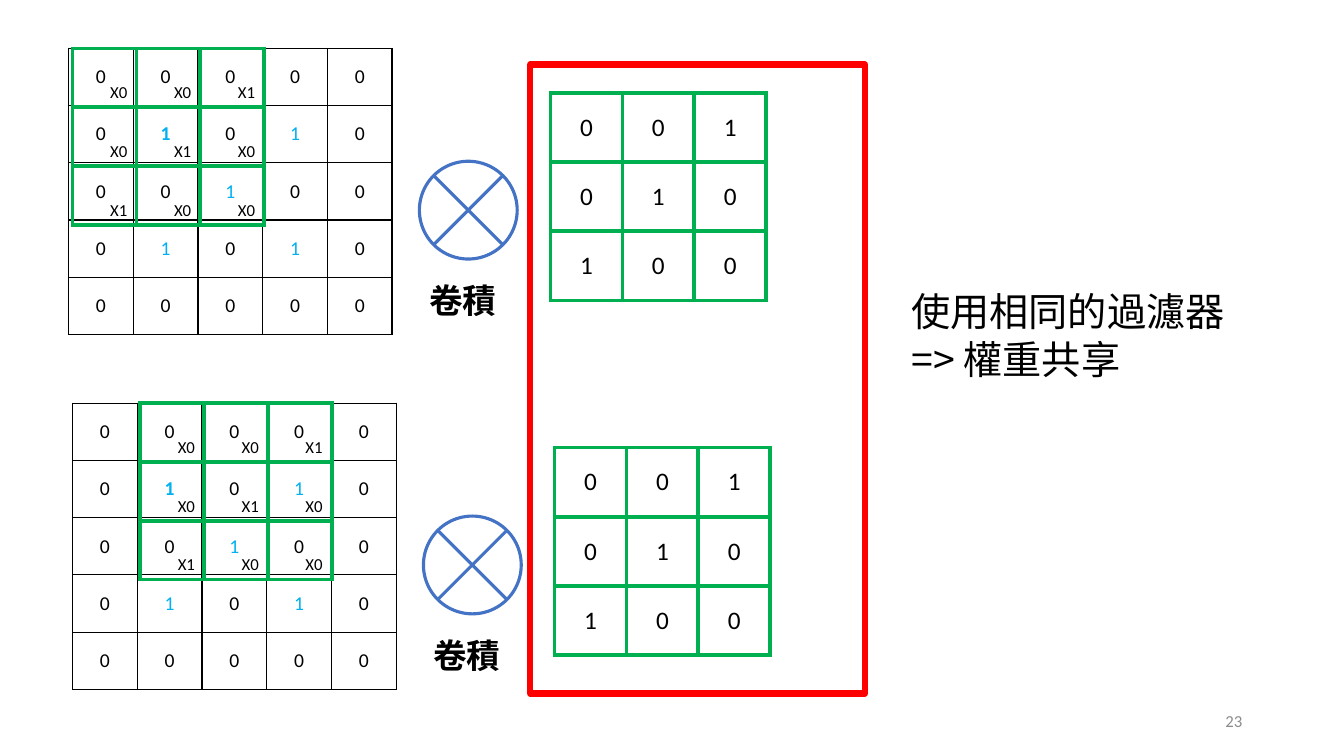
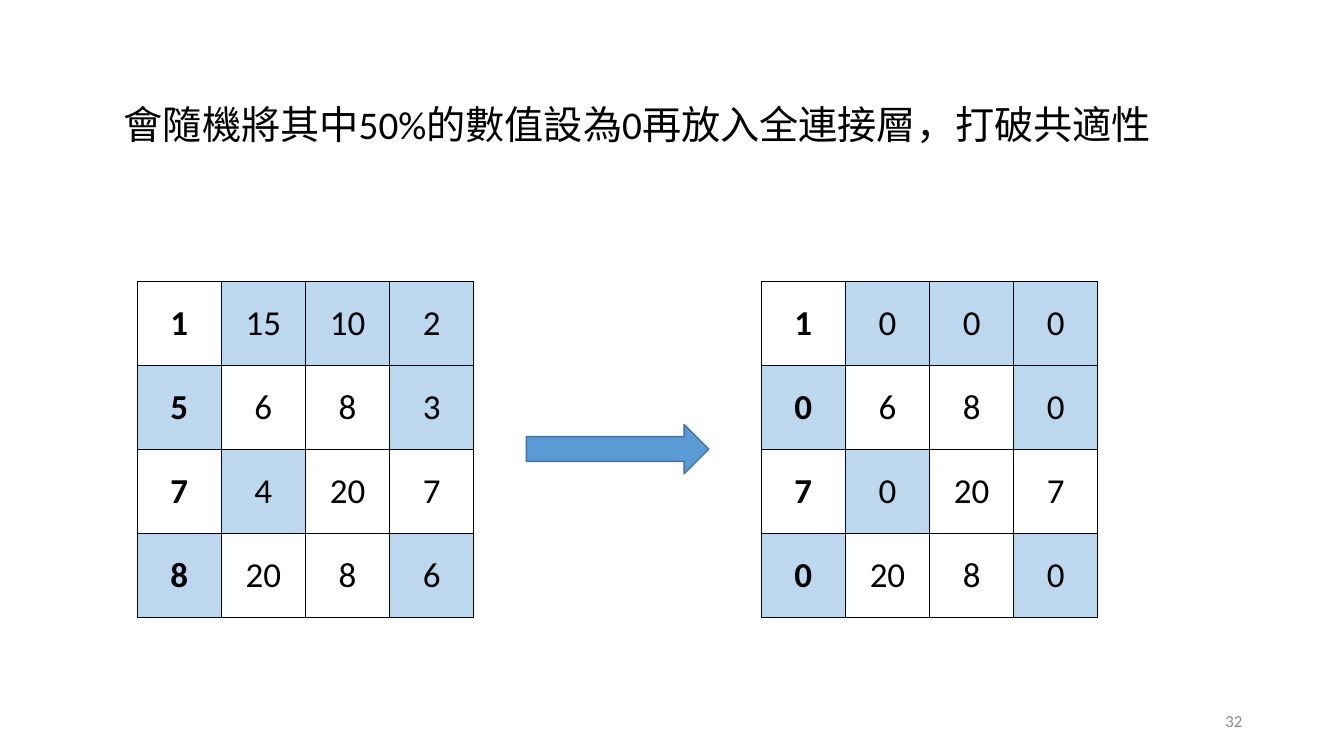
from lxml import etree
from pptx import Presentation
from pptx.dml.color import RGBColor
from pptx.enum.shapes import MSO_SHAPE
from pptx.enum.text import MSO_ANCHOR, PP_ALIGN
from pptx.oxml.ns import qn
from pptx.util import Emu, Pt

RECT = MSO_SHAPE.RECTANGLE
ARROW = MSO_SHAPE.RIGHT_ARROW
JUNCTION = MSO_SHAPE.FLOWCHART_SUMMING_JUNCTION
TOP, MIDDLE, BOTTOM = MSO_ANCHOR.TOP, MSO_ANCHOR.MIDDLE, MSO_ANCHOR.BOTTOM
LEFT, CENTER, RIGHT = PP_ALIGN.LEFT, PP_ALIGN.CENTER, PP_ALIGN.RIGHT

COLORS = {
    "text": "000000", "white": "FFFFFF", "number": "8C8C8C", "one": "00B0F0",
    "filter": "00B050", "frame": "FF0000", "junction": "4472C4",
    "dropped": "BDD7EE", "arrow": "5B9BD5", "arrow_edge": "43739E",
}
LATIN, CJK = "Calibri", "Noto Sans CJK SC"

# Table looks: text size, border, alignment and cell margins
IMAGE = dict(size=14, border="text", width=1, align=CENTER, anchor=MIDDLE, margins=(8, 4))
FILTER = dict(size=18, border="filter", width=3, align=CENTER, anchor=MIDDLE, margins=(10, 5))
WINDOW = dict(size=12, border="filter", width=3, align=RIGHT, anchor=BOTTOM, margins=(9, 4))
LAYER = dict(size=25, border="text", width=1, align=CENTER, anchor=MIDDLE, margins=(13, 7))

# Table values
PIXELS = ["00000", "01010", "00100", "01010", "00000"]
WEIGHTS = ["001", "010", "100"]
OUTPUTS = [[1, 15, 10, 2], [5, 6, 8, 3], [7, 4, 20, 7], [8, 20, 8, 6]]
DROPPED = ["0111", "1001", "0100", "1001"]


def px(n):
    """One px is a hundredth of an inch."""
    return Emu(n * 9144)


def rgb(name):
    return RGBColor.from_string(COLORS[name])


def add_run(p, text, size, color="text", bold=False, font=LATIN):
    r = p.add_run()
    r.text = text
    for key, value in dict(size=Pt(size), bold=bold, name=font).items():
        setattr(r.font, key, value)
    r.font.color.rgb = rgb(color)
    etree.SubElement(r.font._element, qn("a:ea"), typeface=CJK)


def add_text(s, box, lines, size, align=LEFT, anchor=TOP, spacing=None, **style):
    tf = s.shapes.add_textbox(*map(px, box)).text_frame
    tf.word_wrap = True
    tf.vertical_anchor = anchor
    p = tf.paragraphs[0]
    p.alignment = align
    if spacing:
        p.line_spacing = Pt(spacing)
    for i, line in enumerate(lines):
        if i:
            p.add_line_break()
        add_run(p, line, size, **style)


def add_shape(s, kind, box, line, width, fill=None):
    sp = s.shapes.add_shape(kind, *map(px, box))
    sp.shadow.inherit = False
    sp.line.color.rgb = rgb(line)
    sp.line.width = Pt(width)
    if fill:
        sp.fill.solid()
        sp.fill.fore_color.rgb = rgb(fill)
    else:
        sp.fill.background()


def set_borders(cell, color, width):
    tc_pr = cell._tc.get_or_add_tcPr()
    for side in ("lnL", "lnR", "lnT", "lnB"):
        ln = etree.SubElement(tc_pr, qn(f"a:{side}"), w=str(Pt(width)))
        fill = etree.SubElement(ln, qn("a:solidFill"))
        etree.SubElement(fill, qn("a:srgbClr"), val=COLORS[color])


def add_grid(s, box, rows, look, style_of):
    """style_of(row, column) gives a cell's color, bold and fill."""
    n = len(rows)
    table = s.shapes.add_table(n, n, *map(px, box)).table
    table.first_row = table.horz_banding = False
    for line, total, attr in ((table.columns, box[2], "width"), (table.rows, box[3], "height")):
        for part in line:
            setattr(part, attr, px(total) // n)
    mx, my = map(px, look["margins"])
    cell_format = dict(margin_left=mx, margin_right=mx, margin_top=my, margin_bottom=my,
                       vertical_anchor=look["anchor"])
    for i, row in enumerate(rows):
        for j, value in enumerate(row):
            cell = table.cell(i, j)
            style = style_of(i, j)
            fill = style.pop("fill", None)
            for key, setting in cell_format.items():
                setattr(cell, key, setting)
            set_borders(cell, look["border"], look["width"])
            if fill:
                cell.fill.solid()
                cell.fill.fore_color.rgb = rgb(fill)
            else:
                cell.fill.background()
            p = cell.text_frame.paragraphs[0]
            p.alignment = look["align"]
            add_run(p, str(value), look["size"], **style)


def plain(i, j):
    return {}


def pixel_style(i, j):
    return dict(color="one" if PIXELS[i][j] == "1" else "text", bold=(i, j) == (1, 1))


def layer_style(i, j):
    return dict(bold=j == 0, fill="dropped" if DROPPED[i][j] == "1" else None)


def add_page_number(s, number):
    add_text(s, (942, 695, 300, 40), [str(number)], 12, RIGHT, MIDDLE, color="number")


def add_convolution(s, x, y, window_x):
    """Image, filter and junction, with the window laid over the image."""
    add_grid(s, (x, y, 321, 284), PIXELS, IMAGE, pixel_style)
    add_grid(s, (x + 478, y + 44, 214, 206), WEIGHTS, FILTER, plain)
    add_shape(s, JUNCTION, (x + 348, y + 112, 97, 97), "junction", 2.25, "white")
    add_text(s, (x + 348, y + 225, 97, 50), ["卷積"], 24, spacing=29, bold=True, font=CJK)
    factors = [["X" + w for w in row] for row in WEIGHTS]
    add_grid(s, (window_x, y, 190, 175), factors, WINDOW, plain)


def build_weight_sharing(s):
    add_convolution(s, 68, 48, 72)
    add_convolution(s, 72, 400, 139)
    add_shape(s, RECT, (526, 64, 332, 624), "frame", 4.5)
    add_text(s, (894, 280, 372, 104), ["使用相同的過濾器", "=> 權重共享"], 28,
             spacing=34, font=CJK)
    add_page_number(s, 23)


def build_dropout(s):
    add_text(s, (113, 98, 1054, 90),
             ["會隨機將其中50%的數值設為0再放入全連接層，打破共適性"], 28, spacing=31)
    kept = [[0 if drop == "1" else value for value, drop in zip(row, drops)]
            for row, drops in zip(OUTPUTS, DROPPED)]
    for x, values in ((136, OUTPUTS), (755, kept)):
        add_grid(s, (x, 279, 334, 334), values, LAYER, layer_style)
    add_shape(s, ARROW, (522, 421, 181, 49), "arrow_edge", 1, "arrow")
    add_page_number(s, 32)


def main():
    prs = Presentation()
    prs.slide_width, prs.slide_height = px(1333), px(750)
    for build in (build_weight_sharing, build_dropout):
        build(prs.slides.add_slide(prs.slide_layouts[6]))
    prs.save("out.pptx")


if __name__ == "__main__":
    main()
